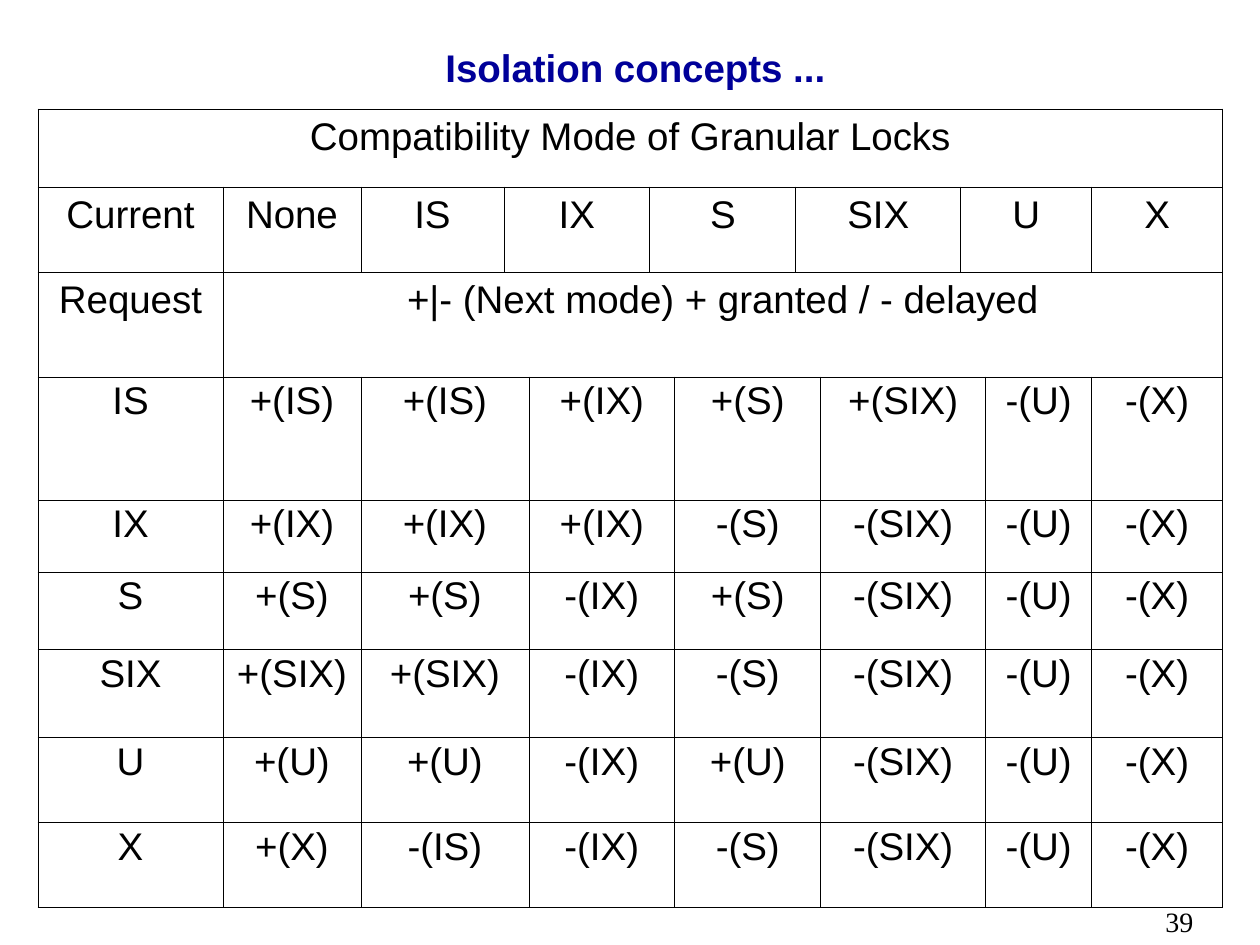
import pptx
import pptx.dml.color
import pptx.enum.text
import pptx.oxml
import pptx.oxml.ns
import pptx.util

PX = 914400 / 126
BLACK = pptx.dml.color.RGBColor(0x00, 0x00, 0x00)
NAVY = pptx.dml.color.RGBColor(0x00, 0x00, 0x99)
CENTER = pptx.enum.text.PP_ALIGN.CENTER
LEFT = pptx.enum.text.PP_ALIGN.LEFT
MIDDLE = pptx.enum.text.MSO_ANCHOR.MIDDLE
TOP = pptx.enum.text.MSO_ANCHOR.TOP

TITLE_FONT = {"name": "Arial", "size": pptx.util.Pt(22), "bold": True}
CELL_FONT = {"name": "Arial", "size": pptx.util.Pt(22), "bold": False}
NUMBER_FONT = {"name": "Times New Roman", "size": pptx.util.Pt(16), "bold": False}

COL_WIDTHS = [185, 138, 143, 25, 121, 25, 121, 25, 140, 25, 106, 131]
ROW_HEIGHTS = [78, 85, 105, 123, 72, 78, 88, 85, 85]

# First grid column of each cell; a cell reaches to the next start.
CAPTION_STARTS = [0]
CURRENT_STARTS = [0, 1, 2, 3, 5, 7, 9, 11]
REQUEST_STARTS = [0, 1]
MODE_STARTS = [0, 1, 2, 4, 6, 8, 10, 11]

HEADER_ROWS = [
    (CAPTION_STARTS, ["Compatibility Mode of Granular Locks"]),
    (CURRENT_STARTS, ["Current", "None", "IS", "IX", "S", "SIX", "U", "X"]),
    (REQUEST_STARTS, ["Request", "+|- (Next mode) + granted / - delayed"]),
]
MODE_ROWS = [
    ["IS", "+(IS)", "+(IS)", "+(IX)", "+(S)", "+(SIX)", "-(U)", "-(X)"],
    ["IX", "+(IX)", "+(IX)", "+(IX)", "-(S)", "-(SIX)", "-(U)", "-(X)"],
    ["S", "+(S)", "+(S)", "-(IX)", "+(S)", "-(SIX)", "-(U)", "-(X)"],
    ["SIX", "+(SIX)", "+(SIX)", "-(IX)", "-(S)", "-(SIX)", "-(U)", "-(X)"],
    ["U", "+(U)", "+(U)", "-(IX)", "+(U)", "-(SIX)", "-(U)", "-(X)"],
    ["X", "+(X)", "-(IS)", "-(IX)", "-(S)", "-(SIX)", "-(U)", "-(X)"],
]


def px(n):
    return pptx.util.Emu(round(n * PX))


def write(tf, text, font, color, align, line_spacing=None):
    p = tf.paragraphs[0]
    p.alignment = align
    if line_spacing:
        p.line_spacing = line_spacing
    r = p.add_run()
    r.text = text
    for name, value in font.items():
        setattr(r.font, name, value)
    r.font.color.rgb = color


def add_label(s, box, text, font, color, align, anchor):
    sp = s.shapes.add_textbox(*map(px, box))
    tf = sp.text_frame
    tf.word_wrap = True
    tf.vertical_anchor = anchor
    write(tf, text, font, color, align)


def style_cell(cell):
    """Thin black border on every side and no fill."""
    tcPr = cell._tc.get_or_add_tcPr()
    for side in ("lnL", "lnR", "lnT", "lnB"):
        tcPr.append(pptx.oxml.parse_xml(
            f'<a:{side} {pptx.oxml.ns.nsdecls("a")} w="{pptx.util.Pt(0.45)}">'
            f'<a:solidFill><a:srgbClr val="{BLACK}"/></a:solidFill></a:{side}>'))
    cell.fill.background()


def add_lock_table(s, box):
    rows = HEADER_ROWS + [(MODE_STARTS, texts) for texts in MODE_ROWS]
    frame = s.shapes.add_table(len(rows), len(COL_WIDTHS), *map(px, box))
    table = frame.table
    table.first_row = table.horz_banding = False
    for col, width in zip(table.columns, COL_WIDTHS):
        col.width = px(width)
    for row, height in zip(table.rows, ROW_HEIGHTS):
        row.height = px(height)
    for cell in table.iter_cells():
        style_cell(cell)
    for i, (starts, texts) in enumerate(rows):
        ends = starts[1:] + [len(COL_WIDTHS)]
        spacing = 0.9 if i >= len(HEADER_ROWS) else None
        for start, end, text in zip(starts, ends, texts):
            cell = table.cell(i, start)
            if end - start > 1:
                cell.merge(table.cell(i, end - 1))
            write(cell.text_frame, text, CELL_FONT, BLACK, CENTER, spacing)


def main():
    prs = pptx.Presentation()
    prs.slide_width, prs.slide_height = px(1260), px(945)
    s = prs.slides.add_slide(prs.slide_layouts[6])
    add_label(s, (1153, 898, 107, 47), "39", NUMBER_FONT, BLACK, LEFT, TOP)
    add_label(s, (100, 24, 1071, 87), "Isolation concepts ...",
              TITLE_FONT, NAVY, CENTER, MIDDLE)
    add_lock_table(s, (38, 109, sum(COL_WIDTHS), sum(ROW_HEIGHTS)))
    prs.save("out.pptx")


if __name__ == "__main__":
    main()
